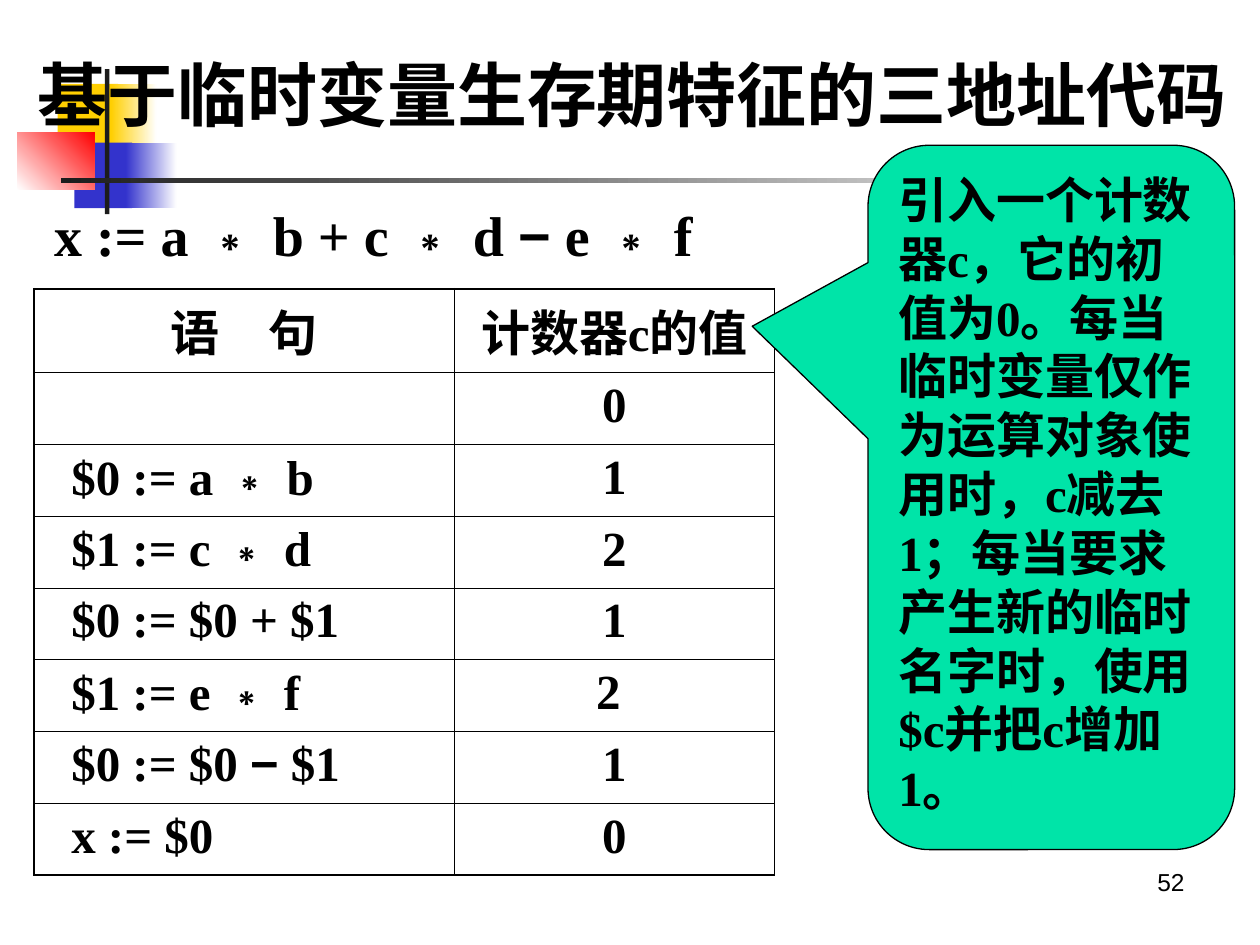
import itertools

import lxml.etree
import pptx
import pptx.dml.color
import pptx.enum.shapes
import pptx.enum.text
import pptx.oxml.ns
import pptx.util

Pt = pptx.util.Pt
ALIGN = pptx.enum.text.PP_ALIGN
ANCHOR = pptx.enum.text.MSO_ANCHOR
SHAPE = pptx.enum.shapes.MSO_SHAPE

COLOURS = {
    "black": "000000", "white": "FFFFFF", "dark": "1C1C1C", "yellow": "FFCF01",
    "blue": "3333CC", "red": "FF0000", "green": "00E4A8",
}
OPERATORS = "∗−"
THICK, THIN = 1.08, 0.45


def colour(name):
    return pptx.dml.color.RGBColor.from_string(COLOURS[name])


class SlideBuilder:
    """Holds the text style and the current slide."""

    def __init__(self, slide, font="Times New Roman", symbol_font="Arial"):
        self.slide = slide
        self.font = font
        self.symbol_font = symbol_font

    def add_runs(self, frame, text, size, align=ALIGN.LEFT, font=None, bold=True):
        paragraph = frame.paragraphs[0]
        paragraph.alignment = align
        # Operators get a run of their own in the symbol font
        for is_operator, characters in itertools.groupby(text, lambda c: c in OPERATORS):
            run = paragraph.add_run()
            run.text = "".join(characters)
            run.font.name = self.symbol_font if is_operator else font or self.font
            run.font.size = Pt(size)
            run.font.bold = bold
            run.font.color.rgb = colour("black")

    def text(self, box, text, size, anchor=ANCHOR.TOP, **style):
        frame = self.slide.shapes.add_textbox(*map(Pt, box)).text_frame
        frame.word_wrap = True
        frame.vertical_anchor = anchor
        self.add_runs(frame, text, size, **style)

    def bar(self, box, start, end=None, angle=0):
        shape = self.slide.shapes.add_shape(SHAPE.RECTANGLE, *map(Pt, box))
        shape.shadow.inherit = False
        shape.line.fill.background()
        if end is None:
            shape.fill.solid()
            shape.fill.fore_color.rgb = colour(start)
            return
        shape.fill.gradient()
        shape.fill.gradient_angle = angle
        for stop, name in zip(shape.fill.gradient_stops, (start, end)):
            stop.color.rgb = colour(name)

    def callout(self, box, adjustments, text, size):
        shape = self.slide.shapes.add_shape(SHAPE.ROUNDED_RECTANGULAR_CALLOUT, *map(Pt, box))
        shape.shadow.inherit = False
        for index, value in enumerate(adjustments):
            shape.adjustments[index] = value
        shape.fill.solid()
        shape.fill.fore_color.rgb = colour("green")
        shape.line.color.rgb = colour("black")
        shape.line.width = Pt(0.75)
        shape.text_frame.word_wrap = True
        shape.text_frame.vertical_anchor = ANCHOR.TOP
        self.add_runs(shape.text_frame, text, size)

    def border(self, cell, widths):
        properties = cell._tc.get_or_add_tcPr()
        qualified = pptx.oxml.ns.qn
        for position, (side, width) in enumerate(widths.items()):
            line = lxml.etree.Element(qualified("a:ln" + side), w=str(Pt(width)))
            fill = lxml.etree.SubElement(line, qualified("a:solidFill"))
            lxml.etree.SubElement(fill, qualified("a:srgbClr"), val=COLOURS["black"])
            properties.insert(position, line)

    def table(self, left, top, widths, heights, rows, size):
        table = self.slide.shapes.add_table(
            len(rows), len(widths), Pt(left), Pt(top), Pt(sum(widths)), Pt(sum(heights))).table
        for column, width in zip(table.columns, widths):
            column.width = Pt(width)
        for row, height in zip(table.rows, heights):
            row.height = Pt(height)
        last_row, last_column = len(rows) - 1, len(widths) - 1
        for r, row in enumerate(rows):
            for c, text in enumerate(row):
                cell = table.cell(r, c)
                cell.fill.background()
                self.border(cell, {
                    "L": THICK if c == 0 else THIN,
                    "R": THICK if c == last_column else THIN,
                    "T": THICK if r == 0 else THIN,
                    "B": THICK if r == last_row else THIN,
                })
                if not text:
                    continue
                statement = c == 0 and r > 0
                if statement:
                    cell.margin_left = Pt(21.2)
                self.add_runs(cell.text_frame, text, size,
                              align=ALIGN.LEFT if statement else ALIGN.CENTER)


def main():
    presentation = pptx.Presentation()
    presentation.slide_width, presentation.slide_height = Pt(720), Pt(540)
    builder = SlideBuilder(presentation.slides.add_slide(presentation.slide_layouts[6]))

    # Corner ornament and rule
    builder.bar((33, 48, 34.5, 37.5), "yellow")
    builder.bar((63.5, 48, 26, 37.5), "yellow", "white")
    builder.bar((42.5, 81.5, 33, 37.5), "blue")
    builder.bar((72, 81.5, 29, 37.5), "blue", "white")
    builder.bar((10, 75.5, 44, 33), "white", "red", angle=45)
    builder.bar((60, 39.5, 2.5, 83), "dark")
    builder.bar((34.8, 102, 648, 2.5), "dark", "white")

    # Page number, title and expression
    builder.text((516, 492, 168, 37.5), "52", 14, align=ALIGN.RIGHT, font="Arial", bold=False)
    builder.text((14.4, 18, 700.6, 70.6), "基于临时变量生存期特征的三地址代码", 40,
                 anchor=ANCHOR.MIDDLE)
    builder.text((23.8, 111, 678, 378), "x := a ∗ b + c ∗ d − e ∗ f", 32, align=ALIGN.JUSTIFY)

    # Statements and counter values
    rows = [
        ("语　句", "计数器c的值"),
        ("", "0"),
        ("$0 := a ∗ b", "1"),
        ("$1 := c ∗ d", "2"),
        ("$0 := $0 + $1", "1"),
        ("$1 := e ∗ f", "2 "),
        ("$0 := $0 − $1", "1"),
        ("x := $0", "0"),
    ]
    builder.table(19.6, 165, (240, 183), [48] + [41] * 7, rows, 28)

    # Explanation
    builder.callout((496, 83, 209.5, 402.5), (-0.816, -0.243, 0.167),
                    "引入一个计数器c，它的初值为0。每当临时变量仅作为运算对象使用时，"
                    "c减去1；每当要求产生新的临时名字时，使用$c并把c增加1。", 28)

    presentation.save("out.pptx")


if __name__ == "__main__":
    main()
